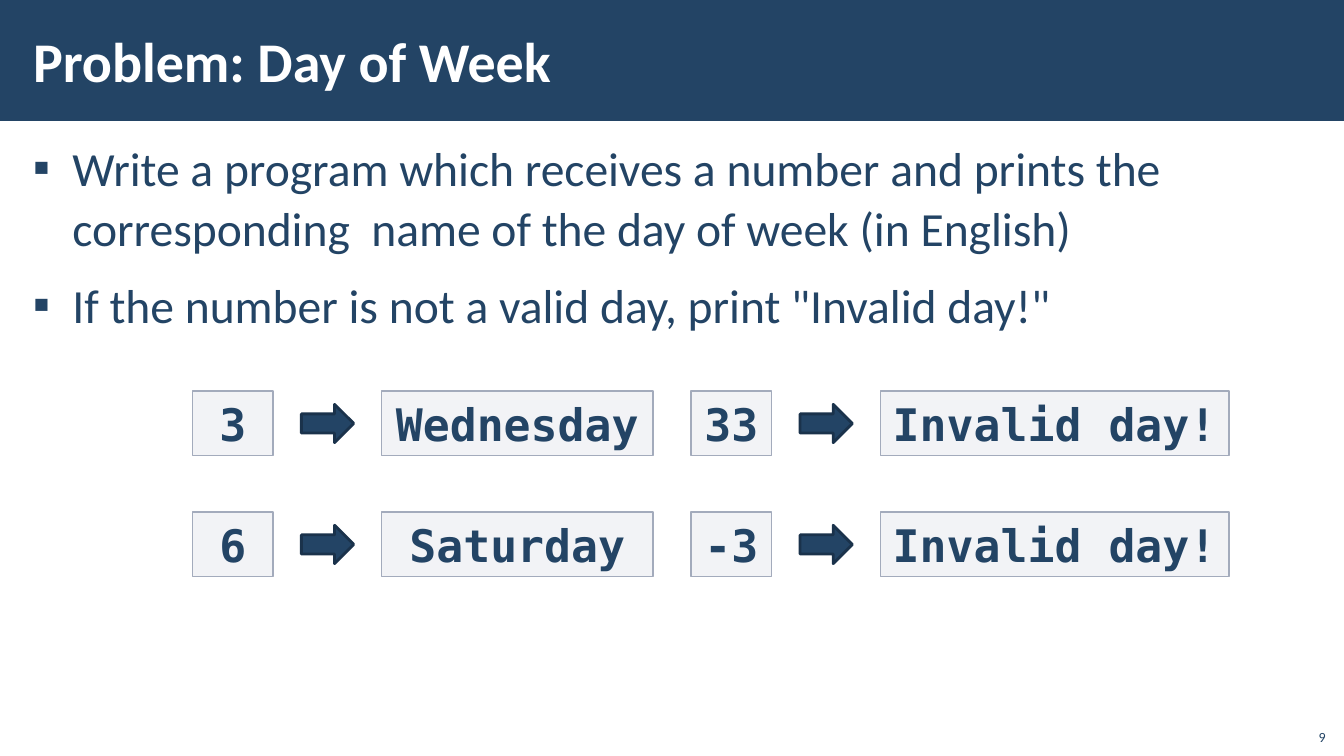
from lxml.etree import SubElement
from pptx import Presentation
from pptx.dml.color import RGBColor
from pptx.enum.shapes import MSO_SHAPE as Shape
from pptx.enum.text import MSO_ANCHOR as Anchor, MSO_AUTO_SIZE as AutoSize, PP_ALIGN as Align
from pptx.oxml.ns import qn
from pptx.util import Pt

NAVY = RGBColor(0x23, 0x44, 0x65)
DARK_NAVY = RGBColor(0x1A, 0x32, 0x4B)
GREY = RGBColor(0xC2, 0xC7, 0xD2)
GREY_LINE = RGBColor(0xA3, 0xAB, 0xBC)
WHITE = RGBColor(0xFF, 0xFF, 0xFF)


def write(para, text, size, colour=NAVY, font="Calibri", bold=False, align=Align.LEFT):
    para.alignment = align
    for index, line in enumerate(text.split("\n")):
        if index:
            para.add_line_break()
        span = para.add_run()
        span.text = line
        span.font.name = font
        span.font.size = Pt(size)
        span.font.bold = bold
        span.font.color.rgb = colour


def add_block(page, kind, left, top, width, height, fill, line=None, weight=1):
    block = page.shapes.add_shape(kind, Pt(left), Pt(top), Pt(width), Pt(height))
    block.shadow.inherit = False
    block.fill.solid()
    block.fill.fore_color.rgb = fill
    if line is None:
        block.line.fill.background()
    else:
        block.line.color.rgb = line
        block.line.width = Pt(weight)
    return block


deck = Presentation()
deck.slide_width, deck.slide_height = Pt(960), Pt(540)
page = deck.slides.add_slide(deck.slide_layouts[1])
title, body = page.placeholders

banner = add_block(page, Shape.RECTANGLE, 0, 0, 960, 86.4, NAVY)
title.element.addprevious(banner.element)

for holder, top, width, height, anchor in (
    (title, 7.9, 765.4, 69.8, Anchor.MIDDLE),
    (body, 94.3, 930.2, 435.6, Anchor.TOP),
):
    holder.left, holder.top = Pt(15.1), Pt(top)
    holder.width, holder.height = Pt(width), Pt(height)
    frame = holder.text_frame
    frame.margin_left = frame.margin_right = Pt(8.5)
    frame.margin_top = frame.margin_bottom = Pt(2.9)
    frame.vertical_anchor = anchor
    frame.word_wrap = True
    frame.auto_size = AutoSize.NONE

write(title.text_frame.paragraphs[0], "Problem: Day of Week", 40, WHITE, bold=True)

tasks = (
    "Write a program which receives a number and prints the \n"
    "corresponding  name of the day of week (in English)",
    "If the number is not a valid day, print \"Invalid day!\"",
)
for index, task in enumerate(tasks):
    frame = body.text_frame
    para = frame.add_paragraph() if index else frame.paragraphs[0]
    write(para, task, 34)
    para.line_spacing = 1.05
    para.space_before = para.space_after = Pt(6)
    settings = para._p.get_or_add_pPr()
    settings.set("marL", str(Pt(28.1)))
    settings.set("indent", str(-Pt(28.1)))
    SubElement(settings, qn("a:buFont"), typeface="Calibri")
    SubElement(settings, qn("a:buChar"), char="▪")

examples = (
    (("3", "Wednesday"), ("33", "Invalid day!")),
    (("6", "Saturday"), ("-3", "Invalid day!")),
)
result_widths = (193.7, 249.1)
for row, pairs in enumerate(examples):
    top = 279.4 + row * 86.4
    for column, (number, result) in enumerate(pairs):
        left = 137.5 + column * 356.2
        for text, offset, width in ((number, 0, 57.6), (result, 135.2, result_widths[column])):
            box = add_block(page, Shape.RECTANGLE, left + offset, top, width, 46.1, GREY, GREY_LINE)
            colour = box.fill._xPr.find(qn("a:solidFill"))[0]
            SubElement(colour, qn("a:alpha"), val="20000")
            box.text_frame.word_wrap = True
            box.text_frame.vertical_anchor = Anchor.MIDDLE
            write(box.text_frame.paragraphs[0], text, 32, font="DejaVu Sans Mono",
                  bold=True, align=Align.CENTER)
        add_block(page, Shape.RIGHT_ARROW, left + 77.8, top + 9.4, 37.4, 27.4, NAVY, DARK_NAVY, 2)

number_box = page.shapes.add_textbox(Pt(925.2), Pt(512.6), Pt(28.8), Pt(23))
number_box.text_frame.word_wrap = True
number_box.text_frame.vertical_anchor = Anchor.BOTTOM
write(number_box.text_frame.paragraphs[0], "9", 10, align=Align.RIGHT)

deck.save("out.pptx")
